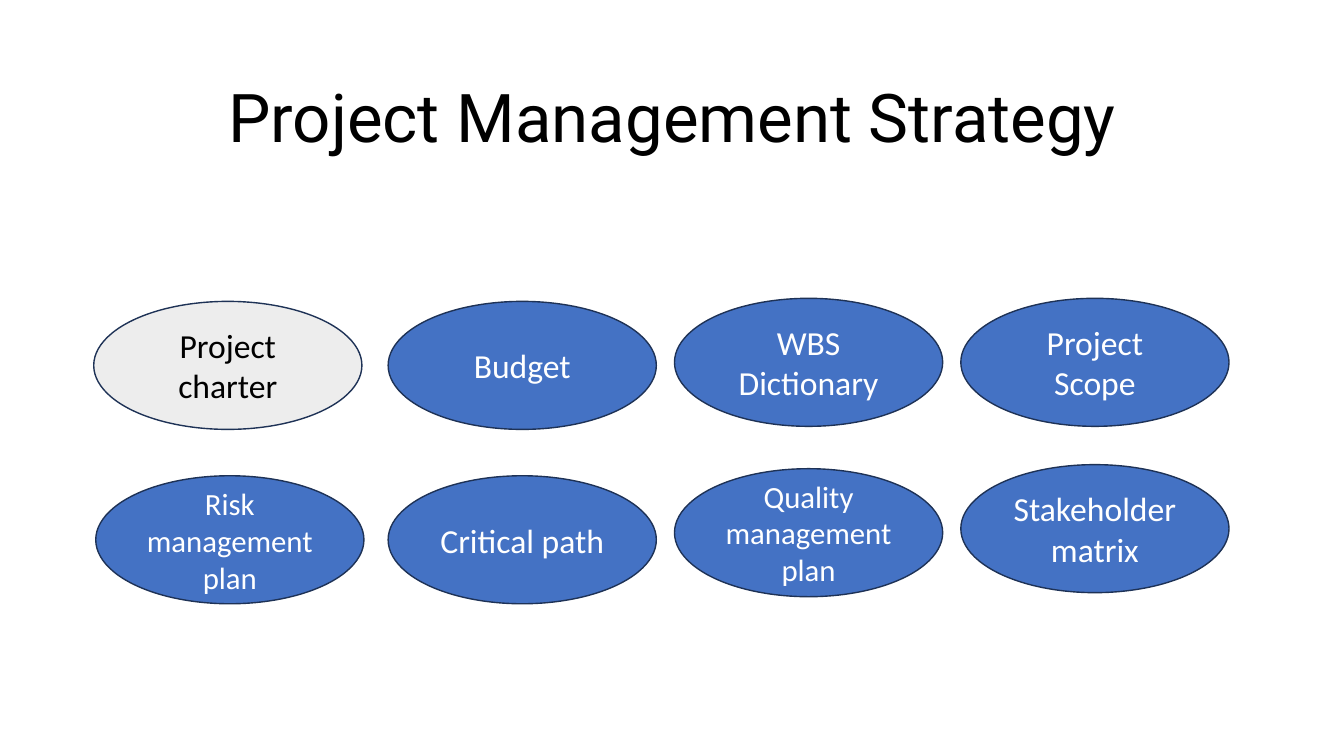
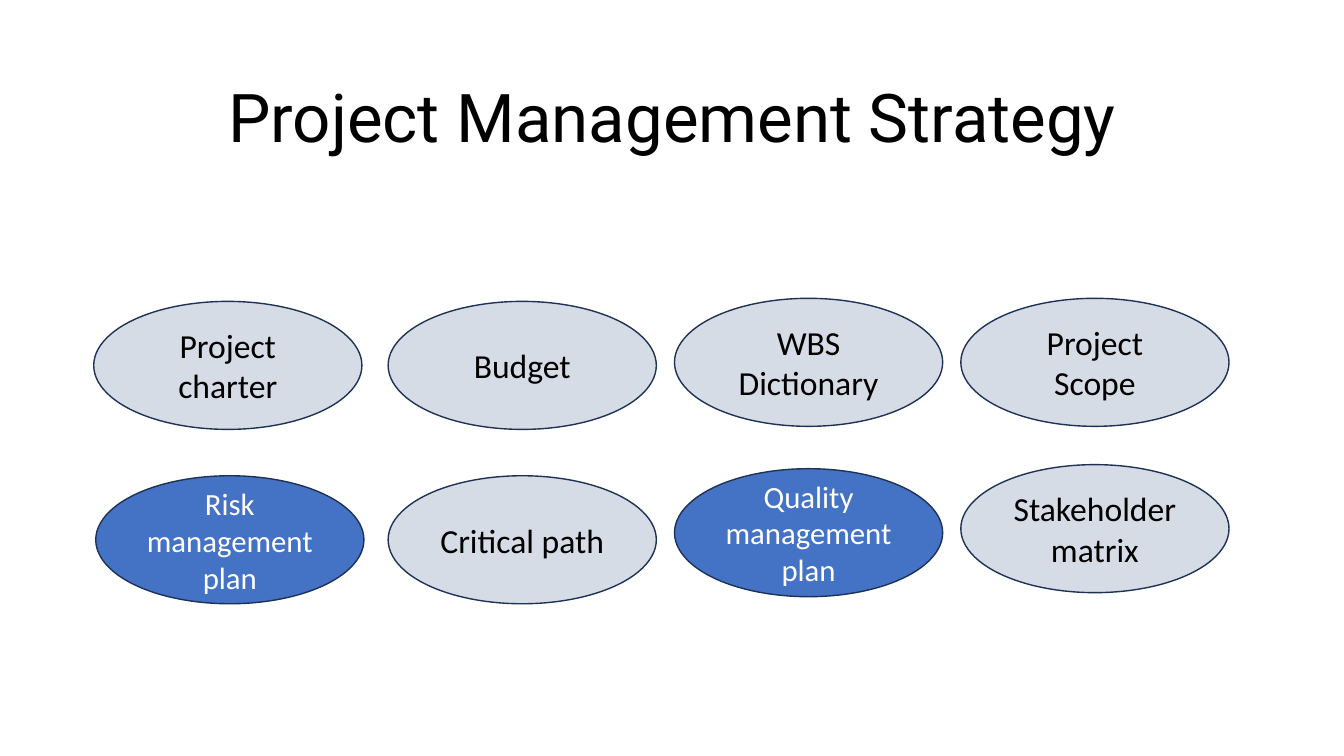
from dataclasses import dataclass

from pptx import Presentation
from pptx.dml.color import RGBColor
from pptx.enum.shapes import MSO_SHAPE
from pptx.enum.text import MSO_ANCHOR, MSO_AUTO_SIZE, PP_ALIGN
from pptx.util import Emu, Pt

EMU_PER_PX = 9144  # 100 px to the inch
TITLE_ONLY = 5


@dataclass(frozen=True)
class Theme:
    blue: str = "4472C4"
    gray: str = "EDEDED"
    pale: str = "D6DCE5"
    outline: str = "1E3256"
    black: str = "000000"
    white: str = "FFFFFF"
    title_font: str = "Roboto"
    body_font: str = "Calibri"
    title_size: int = 48
    label_size: int = 24
    long_label_size: int = 22
    line_width: int = 1


THEME = Theme()

# Shared layout: label, left, top, text size
OVAL_WIDTH, OVAL_HEIGHT = 266, 127
COL_2, COL_3, COL_4 = (385 + 284 * i for i in range(3))
OVALS = [
    ("Project charter", 93, 299, THEME.label_size),
    ("Budget", COL_2, 299, THEME.label_size),
    ("WBS Dictionary", COL_3, 296, THEME.label_size),
    ("Project Scope", COL_4, 296, THEME.label_size),
    ("Risk management plan", 95, 472, THEME.long_label_size),
    ("Critical path", COL_2, 472, THEME.label_size),
    ("Quality management\nplan", COL_3, 465, THEME.long_label_size),
    ("Stakeholder matrix", COL_4, 461, THEME.label_size),
]

# Muted fill of each slide and the labels that carry it
SLIDES = [
    (THEME.gray, {"Project charter"}),
    (THEME.pale, {"Project charter", "Budget", "WBS Dictionary", "Project Scope",
                  "Critical path", "Stakeholder matrix"}),
]


def px(*lengths):
    return [Emu(n * EMU_PER_PX) for n in lengths]


def rgb(color):
    return RGBColor.from_string(color)


def set_text(shape, text, font, size, color, line_spacing=None):
    tf = shape.text_frame
    tf.text = text
    tf.word_wrap = True
    tf.auto_size = MSO_AUTO_SIZE.NONE
    tf.vertical_anchor = MSO_ANCHOR.MIDDLE
    for p in tf.paragraphs:
        p.alignment = PP_ALIGN.CENTER
        p.line_spacing = line_spacing
        for r in p.runs:
            r.font.name = font
            r.font.size = Pt(size)
            r.font.color.rgb = rgb(color)


def add_title(s, text):
    sp = s.shapes.title
    sp.left, sp.top, sp.width, sp.height = px(92, 40, 1150, 160)
    set_text(sp, text, THEME.title_font, THEME.title_size, THEME.black, 0.9)


def add_oval(s, text, left, top, size, fill, color):
    sp = s.shapes.add_shape(MSO_SHAPE.OVAL, *px(left, top, OVAL_WIDTH, OVAL_HEIGHT))
    sp.shadow.inherit = False
    sp.fill.solid()
    sp.fill.fore_color.rgb = rgb(fill)
    sp.line.color.rgb = rgb(THEME.outline)
    sp.line.width = Pt(THEME.line_width)
    set_text(sp, text, THEME.body_font, size, color)


def add_strategy_slide(prs, muted_fill, muted_labels):
    s = prs.slides.add_slide(prs.slide_layouts[TITLE_ONLY])
    add_title(s, "Project Management Strategy")
    for label, left, top, size in OVALS:
        if label in muted_labels:
            fill, color = muted_fill, THEME.black
        else:
            fill, color = THEME.blue, THEME.white
        add_oval(s, label, left, top, size, fill, color)


def main():
    prs = Presentation()
    prs.slide_width, prs.slide_height = px(1333, 750)
    for muted_fill, muted_labels in SLIDES:
        add_strategy_slide(prs, muted_fill, muted_labels)
    prs.save("out.pptx")


if __name__ == "__main__":
    main()
